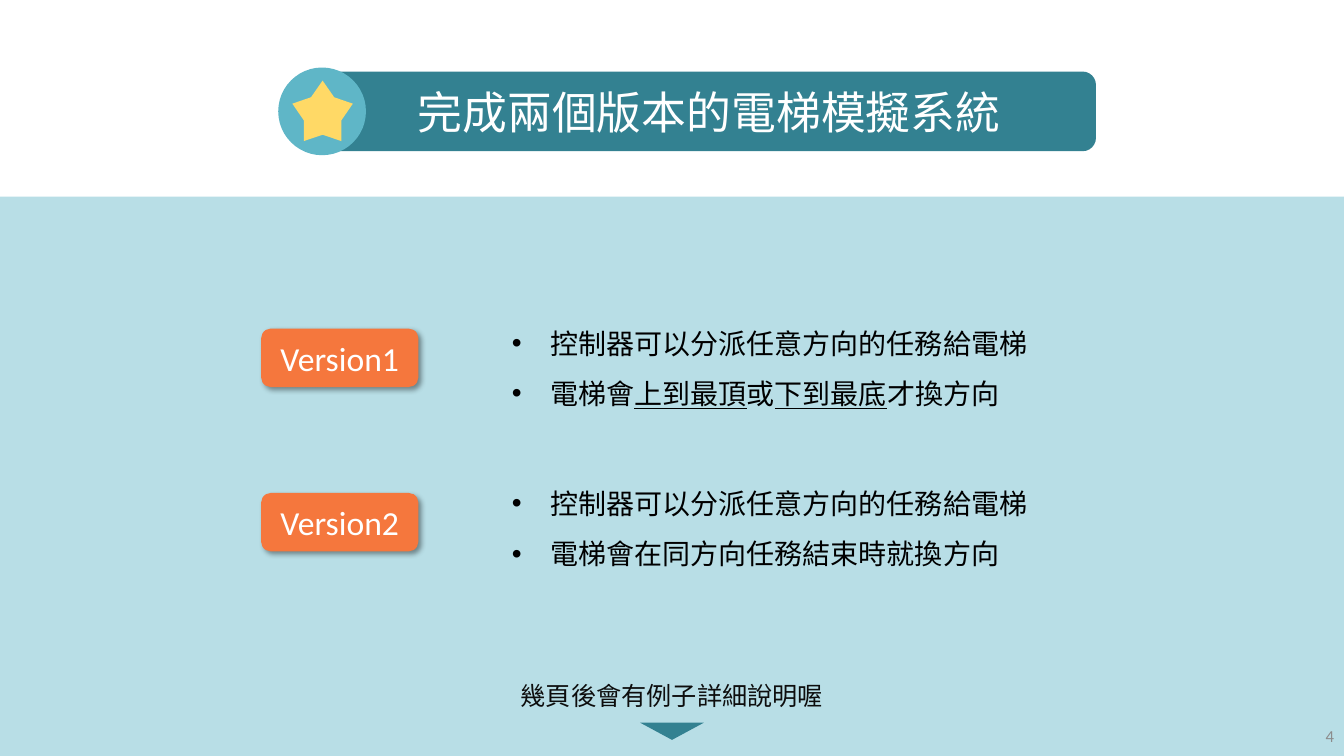
from lxml import etree
from pptx import Presentation
from pptx.dml.color import RGBColor
from pptx.enum.shapes import MSO_SHAPE
from pptx.enum.text import MSO_ANCHOR, MSO_AUTO_SIZE, PP_ALIGN
from pptx.oxml import parse_xml
from pptx.oxml.ns import nsdecls, qn
from pptx.util import Inches, Pt

RECT, ROUND_RECT = MSO_SHAPE.RECTANGLE, MSO_SHAPE.ROUNDED_RECTANGLE
OVAL, STAR, TRIANGLE = MSO_SHAPE.OVAL, MSO_SHAPE.STAR_5_POINT, MSO_SHAPE.ISOSCELES_TRIANGLE
LEFT, CENTER, RIGHT = PP_ALIGN.LEFT, PP_ALIGN.CENTER, PP_ALIGN.RIGHT
TOP, MIDDLE = MSO_ANCHOR.TOP, MSO_ANCHOR.MIDDLE
FIT_SHAPE = MSO_AUTO_SIZE.SHAPE_TO_FIT_TEXT

PALE_TEAL = RGBColor(0xB8, 0xDE, 0xE6)
TEAL = RGBColor(0x33, 0x81, 0x91)
MID_TEAL = RGBColor(0x5F, 0xB6, 0xC7)
YELLOW = RGBColor(0xFF, 0xD9, 0x66)
ORANGE = RGBColor(0xF5, 0x77, 0x3D)
WHITE = RGBColor(0xFF, 0xFF, 0xFF)
BLACK = RGBColor(0x00, 0x00, 0x00)
NEAR_BLACK = RGBColor(0x0D, 0x0D, 0x0D)
GRAY = RGBColor(0x8C, 0x8C, 0x8C)

LATIN_FONT, CJK_FONT = "Calibri", "Noto Sans CJK JP"
BULLET_INDENT = Inches(0.38)

# Each version: label, label top, bullets top, bullets as (text, underlined) runs
VERSIONS = [
    ("Version1", 3.26, 3.02, [
        [("控制器可以分派任意方向的任務給電梯", False)],
        [("電梯會", False), ("上到最頂", True), ("或", False),
         ("下到最底", True), ("才換方向", False)],
    ]),
    ("Version2", 4.89, 4.61, [
        [("控制器可以分派任意方向的任務給電梯", False)],
        [("電梯會在同方向任務結束時就換方向", False)],
    ]),
]


class SlideBuilder:
    def __init__(self, slide):
        self.slide = slide
        self.shapes = slide.shapes

    def group(self):
        """Send the following elements into a new group."""
        self.shapes = self.slide.shapes.add_group_shape().shapes

    def ungroup(self):
        """Send the following elements straight onto the slide."""
        self.shapes = self.slide.shapes

    def shape(self, kind, x, y, w, h, fill):
        sp = self.shapes.add_shape(kind, Inches(x), Inches(y), Inches(w), Inches(h))
        sp.shadow.inherit = False
        sp.fill.solid()
        sp.fill.fore_color.rgb = fill
        sp.line.fill.background()
        return sp

    def drop_shadow(self, sp):
        effects = sp._element.spPr.find(qn("a:effectLst"))
        effects.append(parse_xml(
            f'<a:outerShdw {nsdecls("a")} blurRad="{Pt(4)}" dist="{Pt(3)}" dir="2700000" '
            'algn="tl" rotWithShape="0"><a:srgbClr val="000000">'
            '<a:alpha val="40000"/></a:srgbClr></a:outerShdw>'))

    def run(self, p, text, size, color, font, underline=False):
        r = p.add_run()
        r.text = text
        r.font.size = Pt(size)
        r.font.color.rgb = color
        r.font.name = font
        if underline:
            r.font.underline = True
        etree.SubElement(r._r.get_or_add_rPr(), qn("a:ea"), typeface=CJK_FONT)

    def label(self, sp, text, size, color, font, align=CENTER, anchor=MIDDLE):
        """Write one line of text into a shape or text box."""
        tf = sp.text_frame
        tf.vertical_anchor = anchor
        p = tf.paragraphs[0]
        p.alignment = align
        self.run(p, text, size, color, font)

    def text_box(self, x, y, w, h, wrap=True):
        sp = self.shapes.add_textbox(Inches(x), Inches(y), Inches(w), Inches(h))
        sp.text_frame.word_wrap = wrap
        return sp

    def bullets(self, x, y, w, h, items):
        tf = self.text_box(x, y, w, h).text_frame
        tf.auto_size = FIT_SHAPE
        for i, runs in enumerate(items):
            p = tf.add_paragraph() if i else tf.paragraphs[0]
            p.alignment = LEFT
            p.line_spacing = 1.5
            pPr = p._p.get_or_add_pPr()
            pPr.set("marL", str(BULLET_INDENT))
            pPr.set("indent", str(-BULLET_INDENT))
            etree.SubElement(pPr, qn("a:buFont"), typeface="Arial")
            etree.SubElement(pPr, qn("a:buChar"), char="•")
            for text, underline in runs:
                self.run(p, text, 20, BLACK, CJK_FONT, underline)


def main():
    prs = Presentation()
    prs.slide_width, prs.slide_height = Inches(13.33), Inches(7.5)
    s = SlideBuilder(prs.slides.add_slide(prs.slide_layouts[6]))

    s.shape(RECT, 0, 1.95, 13.33, 5.55, PALE_TEAL)
    page = s.text_box(10.33, 7.1, 3, 0.4)
    s.label(page, "4", 12, GRAY, LATIN_FONT, RIGHT)

    s.group()
    title = s.shape(ROUND_RECT, 3.2, 0.71, 7.67, 0.79, TEAL)
    s.label(title, "完成兩個版本的電梯模擬系統", 32, WHITE, CJK_FONT)
    s.shape(OVAL, 2.76, 0.67, 0.87, 0.87, MID_TEAL)
    star = s.shape(STAR, 2.9, 0.8, 0.6, 0.6, YELLOW)
    star.adjustments[0] = 0.31

    for name, label_top, bullets_top, items in VERSIONS:
        s.group()
        tag = s.shape(ROUND_RECT, 2.59, label_top, 1.56, 0.58, ORANGE)
        s.drop_shadow(tag)
        s.label(tag, name, 24, WHITE, LATIN_FONT)
        s.bullets(4.98, bullets_top, 7.5, 1.06, items)

    s.ungroup()
    note = s.text_box(5.05, 6.7, 3.23, 0.4, wrap=False)
    note.text_frame.auto_size = FIT_SHAPE
    s.label(note, "幾頁後會有例子詳細說明喔", 18, NEAR_BLACK, LATIN_FONT, anchor=TOP)
    arrow = s.shape(TRIANGLE, 6.35, 7.17, 0.63, 0.17, TEAL)
    arrow.rotation = 180

    prs.save("out.pptx")


if __name__ == "__main__":
    main()
